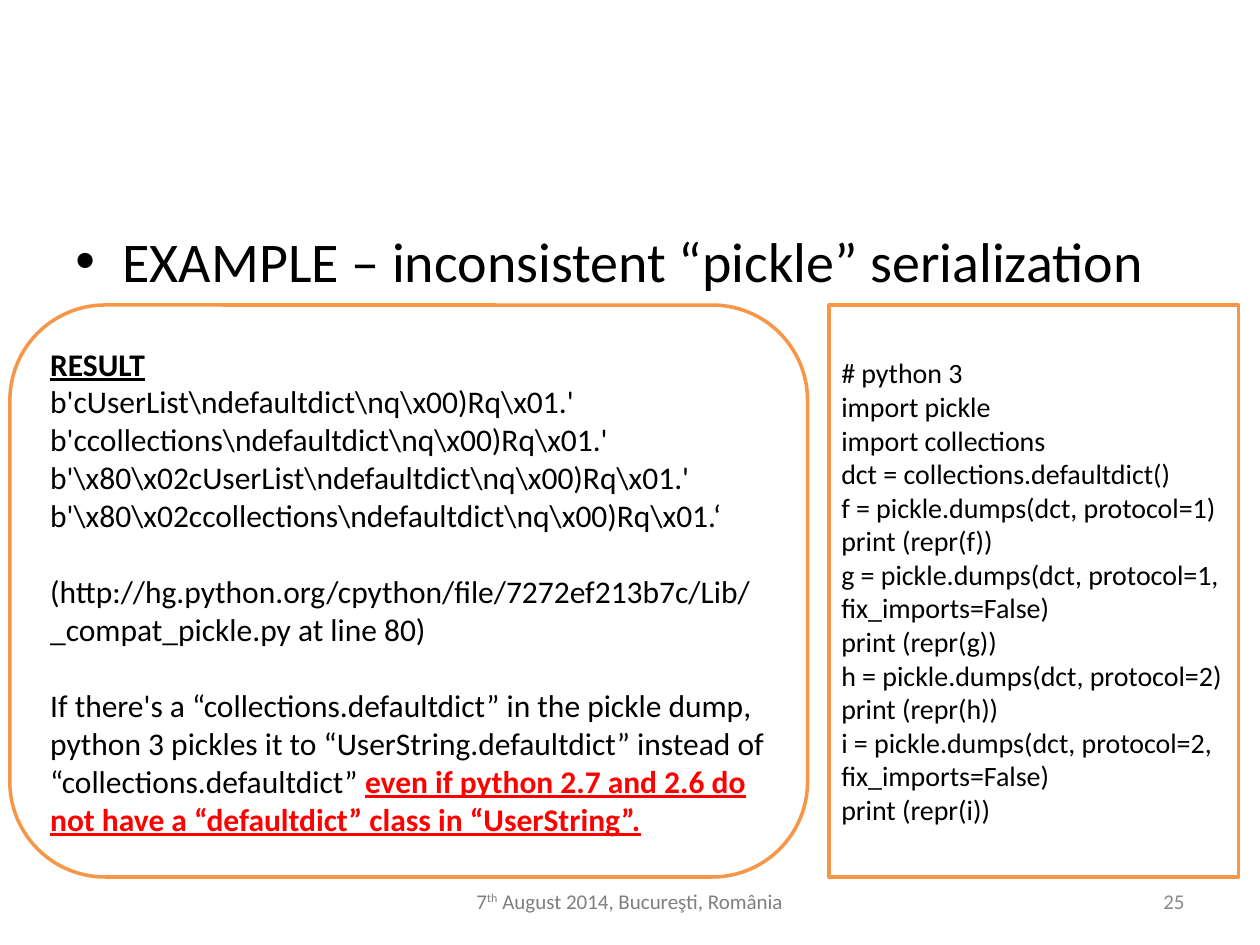
"""Build the slide on inconsistent pickle serialization."""
from lxml import etree
from pptx import Presentation
from pptx import util as u
from pptx.dml import color
from pptx.enum import shapes, text
from pptx.oxml import ns

COLORS = {"ink": "000000", "accent": "F79646", "alert": "FF0000",
          "date": "7F7F7F", "number": "898989"}


def write(s, paragraphs, size=18, ink="ink", align="LEFT", anchor="MIDDLE"):
    """Fill a shape with paragraphs, each a list of (text, format) runs."""
    tf = s.text_frame
    tf.word_wrap = True
    tf.vertical_anchor = getattr(text.MSO_ANCHOR, anchor)
    for i, runs in enumerate(paragraphs):
        p = tf.add_paragraph() if i else tf.paragraphs[0]
        p.alignment = getattr(text.PP_ALIGN, align)
        for content, fmt in runs:
            r = p.add_run()
            r.text = content
            r.font.name = "Calibri"
            r.font.size = u.Pt(size)
            r.font.bold = r.font.underline = fmt.get("strong", False)
            r.font.color.rgb = color.RGBColor.from_string(COLORS[fmt.get("ink", ink)])
            if "baseline" in fmt:
                r.font._element.set("baseline", fmt["baseline"])
    return tf


prs = Presentation()
prs.slide_width, prs.slide_height = u.Cm(25.4), u.Cm(19.05)
slide = prs.slides.add_slide(prs.slide_layouts[6])

s = slide.shapes.add_textbox(u.Cm(1.27), u.Cm(4.45), u.Cm(22.86), u.Cm(1.9))
tf = write(s, [[("EXAMPLE – inconsistent “pickle” serialization", {})]],
           size=32, anchor="TOP")
pPr = tf.paragraphs[0]._p.get_or_add_pPr()
pPr.set("marL", str(u.Cm(0.95)))
pPr.set("indent", str(u.Cm(-0.95)))
etree.SubElement(pPr, ns.qn("a:buFont")).set("typeface", "Arial")
etree.SubElement(pPr, ns.qn("a:buChar")).set("char", "•")

footers = [
    (8.15, 9.09, "date", "CENTER",
     [("7", {}), ("th", {"baseline": "30000"}), (" August 2014, Bucureşti, România", {})]),
    (18.21, 5.92, "number", "RIGHT", [("25", {})]),
]
for left, width, ink, align, runs in footers:
    s = slide.shapes.add_textbox(u.Cm(left), u.Cm(17.65), u.Cm(width), u.Cm(1.02))
    write(s, [runs], size=12, ink=ink, align=align)

code = """# python 3
import pickle
import collections
dct = collections.defaultdict()
f = pickle.dumps(dct, protocol=1)
print (repr(f))
g = pickle.dumps(dct, protocol=1, fix_imports=False)
print (repr(g))
h = pickle.dumps(dct, protocol=2)
print (repr(h))
i = pickle.dumps(dct, protocol=2, fix_imports=False)
print (repr(i))"""

result = r"""b'cUserList\ndefaultdict\nq\x00)Rq\x01.'
b'ccollections\ndefaultdict\nq\x00)Rq\x01.'
b'\x80\x02cUserList\ndefaultdict\nq\x00)Rq\x01.'
b'\x80\x02ccollections\ndefaultdict\nq\x00)Rq\x01.‘
(http://hg.python.org/cpython/file/7272ef213b7c/Lib/_compat_pickle.py at line 80)"""

result_runs = [[("RESULT", {"strong": True})]]
result_runs += [[(line, {})] for line in result.splitlines()]
result_runs.append([
    ("If there's a “collections.defaultdict” in the pickle dump, python 3 pickles it to "
     "“UserString.defaultdict” instead of “collections.defaultdict” ", {}),
    ("even if python 2.7 and 2.6 do not have a “defaultdict” class in “UserString”.",
     {"strong": True, "ink": "alert"}),
])

panels = [
    ("RECTANGLE", 16.71, 8.26, 16, [[(line, {})] for line in code.splitlines()]),
    ("ROUNDED_RECTANGLE", 0.2, 16.08, 18, result_runs),
]
for kind, left, width, size, paragraphs in panels:
    s = slide.shapes.add_shape(getattr(shapes.MSO_SHAPE, kind),
                               u.Cm(left), u.Cm(6.15), u.Cm(width), u.Cm(11.53))
    s.shadow.inherit = False
    s.fill.background()
    s.line.color.rgb = color.RGBColor.from_string(COLORS["accent"])
    s.line.width = u.Pt(2)
    tf = write(s, paragraphs, size=size)

for p in tf.paragraphs[-2:]:
    p.space_before = u.Pt(22)

prs.save("out.pptx")
